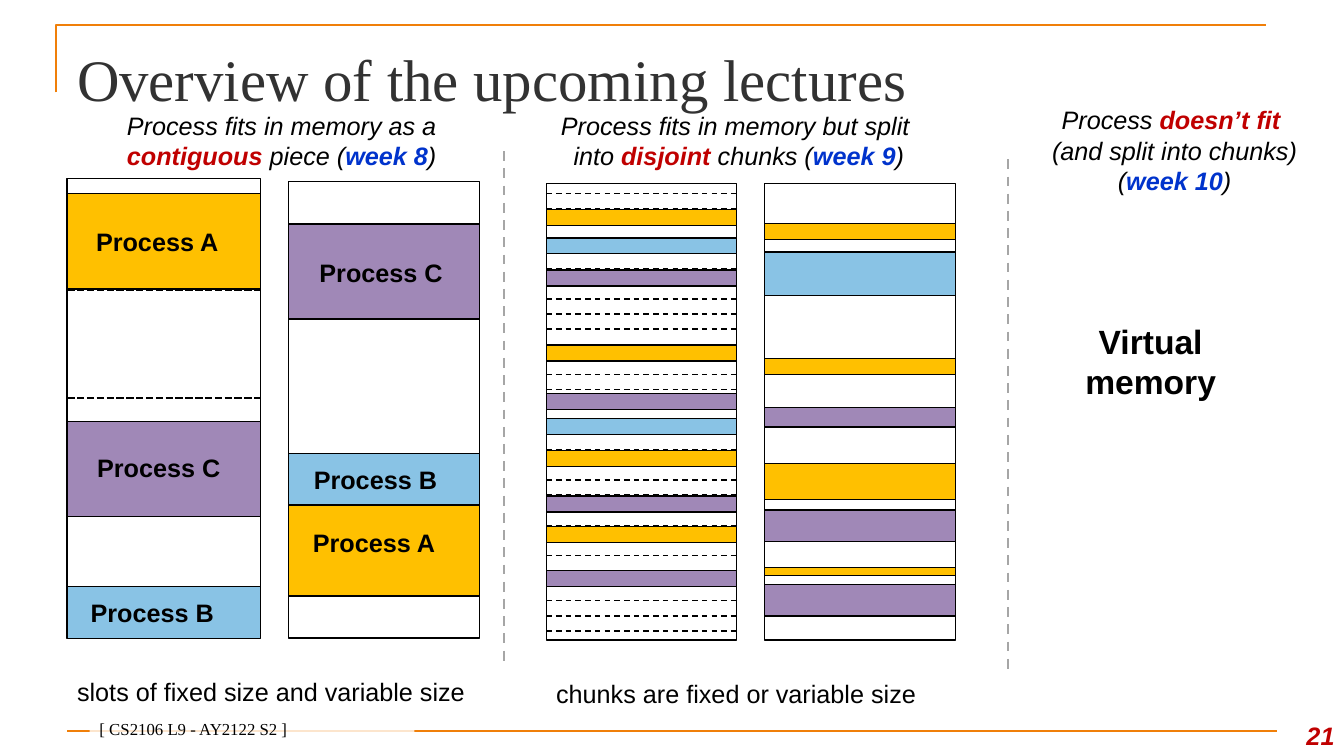
from lxml import etree
from pptx import Presentation
from pptx import util as u
from pptx.dml.color import RGBColor
from pptx.enum import dml, shapes, text
from pptx.oxml import ns

BLACK, WHITE, RED, BLUE = "000000", "FFFFFF", "C00000", "0033CC"
ORANGE, GREY, DARK = "F07F09", "A6A6A6", "323232"
PROCESS_COLOURS = {"A": "FFC000", "B": "89C3E5", "C": "A088B7"}
SLOT = 11.4

COLUMNS = [
    {"left": 48, "top": 127.5, "width": 138, "height": 326,
     "dashes": [284.3, 206.8], "dash": "sysDash", "dash_weight": 1.75,
     "blocks": [("A", 138.4, 68), ("C", 301, 68), ("B", 419, 37)]},
    {"left": 206.3, "top": 129.5, "width": 136.3, "height": 326.3,
     "blocks": [("A", 358, 67.8), ("C", 160, 67.8), ("B", 324, 36.7)]},
    {"left": 390.2, "top": 131, "width": 136.1, "height": 326.2,
     "dashes": [138.1 + 10.78 * row for row in range(30)],
     "dash": "dash", "dash_weight": 1,
     "blocks": [("A", 149.8, SLOT), ("B", 169.9, SLOT), ("C", 192.8, SLOT),
                ("A", 246.4, SLOT), ("C", 281, SLOT), ("B", 298.9, SLOT),
                ("A", 321.7, SLOT), ("C", 354.3, SLOT), ("A", 376, SLOT),
                ("C", 407.6, SLOT)]},
    {"left": 546.3, "top": 131, "width": 136.1, "height": 326.2,
     "blocks": [("B", 180, 31), ("A", 256.3, SLOT), ("A", 159.6, SLOT),
                ("A", 331.3, 25.4), ("C", 364.2, 22.6), ("C", 417.4, 22.6),
                ("C", 290.9, 14.2), ("A", 405.2, 5.8)]},
]

LABELS = [
    ("Process A", 112.3, 158.4), ("Process C", 113.4, 319.7),
    ("Process B", 108.8, 423.4), ("Process A", 267.2, 373),
    ("Process C", 272.2, 180), ("Process B", 268.2, 328.3),
]

HEADINGS = [
    ((66.2, 74.9, 270, 51), [
        [("Process fits in memory as a ", BLACK), ("contiguous", RED),
         (" piece (", BLACK), ("week 8", BLUE), (")", BLACK)]]),
    ((372.2, 74.9, 311, 51), [
        [("Process fits in memory but split ", BLACK)],
        [("into ", BLACK), ("disjoint", RED), (" chunks (", BLACK),
         ("week 9", BLUE), (")", BLACK)]]),
    ((727, 71.3, 224, 73), [
        [("Process ", BLACK), ("doesn’t fit ", RED)],
        [("(and split into chunks)", BLACK)],
        [("(", BLACK), ("week 10", BLUE), (")", BLACK)]]),
]

CAPTIONS = [
    ("slots of fixed size and variable size", 48, 479.5, 324),
    ("chunks are fixed or variable size", 390.2, 481, 288),
]

DIVIDERS = [(360, 108, 474), (720, 113.8, 479.5)]

deck = Presentation()
deck.slide_width, deck.slide_height = u.Pt(960), u.Pt(540)
page = deck.slides.add_slide(deck.slide_layouts[6])


def colour(value):
    return RGBColor.from_string(value)


def add_line(x1, y1, x2, y2, line_colour, weight, dash=None):
    line = page.shapes.add_connector(
        shapes.MSO_CONNECTOR.STRAIGHT, u.Pt(x1), u.Pt(y1), u.Pt(x2), u.Pt(y2))
    line.line.color.rgb = colour(line_colour)
    line.line.width = u.Pt(weight)
    if dash:
        line.line.dash_style = {"dash": dml.MSO_LINE.DASH,
                                "sysDash": dml.MSO_LINE.SQUARE_DOT}[dash]
    etree.SubElement(line._element.spPr, ns.qn("a:effectLst"))


def add_rectangle(left, top, width, height, fill=None, border=BLACK):
    box = page.shapes.add_shape(
        shapes.MSO_SHAPE.RECTANGLE,
        u.Pt(left), u.Pt(top), u.Pt(width), u.Pt(height))
    box.shadow.inherit = False
    if fill:
        box.fill.solid()
        box.fill.fore_color.rgb = colour(fill)
    else:
        box.fill.background()
    if border:
        box.line.color.rgb = colour(border)
        box.line.width = u.Pt(1)
    else:
        box.line.fill.background()
    return box


def add_text_box(left, top, width, height):
    return page.shapes.add_textbox(
        u.Pt(left), u.Pt(top), u.Pt(width), u.Pt(height))


def write(box, words, size, font="Arial", text_colour=BLACK, bold=False,
          italic=False, align="LEFT", anchor="TOP"):
    frame = box.text_frame
    frame.word_wrap = True
    frame.vertical_anchor = text.MSO_ANCHOR[anchor]
    para = frame.paragraphs[0]
    para.text = words
    para.alignment = text.PP_ALIGN[align]
    para.font.name, para.font.size = font, u.Pt(size)
    para.font.bold, para.font.italic = bold, italic
    para.font.color.rgb = colour(text_colour)


def add_heading(area, lines):
    frame = add_text_box(*area).text_frame
    frame.word_wrap = True
    for index, pieces in enumerate(lines):
        para = frame.add_paragraph() if index else frame.paragraphs[0]
        para.alignment = text.PP_ALIGN.CENTER
        para.font.name, para.font.size = "Arial", u.Pt(18)
        para.font.italic = True
        for words, span_colour in pieces:
            span = para.add_run()
            span.text = words
            span.font.bold = span_colour != BLACK
            span.font.color.rgb = colour(span_colour)


def add_column(column):
    left, width = column["left"], column["width"]
    add_rectangle(left, column["top"], width, column["height"])
    for y in column.get("dashes", []):
        add_line(left, y, left + width, y, BLACK,
                 column["dash_weight"], column["dash"])
    for process, top, height in column["blocks"]:
        add_rectangle(left, top, width, height, PROCESS_COLOURS[process])


builder = page.shapes.build_freeform(u.Pt(40), u.Pt(66))
builder.add_line_segments(
    [(u.Pt(40), u.Pt(18)), (u.Pt(904), u.Pt(18))], close=False)
corner = builder.convert_to_shape()
corner.shadow.inherit = False
corner.fill.background()
corner.line.color.rgb = colour(ORANGE)
corner.line.width = u.Pt(1.5)

add_line(48, 522, 912, 522, ORANGE, 1.5)
write(add_text_box(48, 27, 864, 56), "Overview of the upcoming lectures",
      42, "Times New Roman", DARK)
write(add_text_box(904.3, 504, 56, 36), "21", 18, text_colour=RED, bold=True,
      italic=True, align="RIGHT", anchor="BOTTOM")

footer = add_rectangle(64, 513.4, 232, 18, WHITE, None)
tint = footer._element.spPr.find(".//" + ns.qn("a:srgbClr"))
etree.SubElement(tint, ns.qn("a:alpha")).set("val", "80000")
write(footer, "[ CS2106 L9 - AY2122 S2 ]", 12, "Times New Roman",
      anchor="BOTTOM")

for column in COLUMNS:
    add_column(column)
for words, centre, top in LABELS:
    write(add_text_box(centre - 65, top, 130, 29), words, 18, bold=True,
          align="CENTER")
for area, lines in HEADINGS:
    add_heading(area, lines)
for words, left, top, width in CAPTIONS:
    write(add_text_box(left, top, width, 29), words, 18)
write(add_text_box(745.9, 225.4, 152, 65.5), "Virtual memory", 24, bold=True,
      align="CENTER")
for x, top, bottom in DIVIDERS:
    add_line(x, top, x, bottom, GREY, 1.75, "dash")

deck.save("out.pptx")
